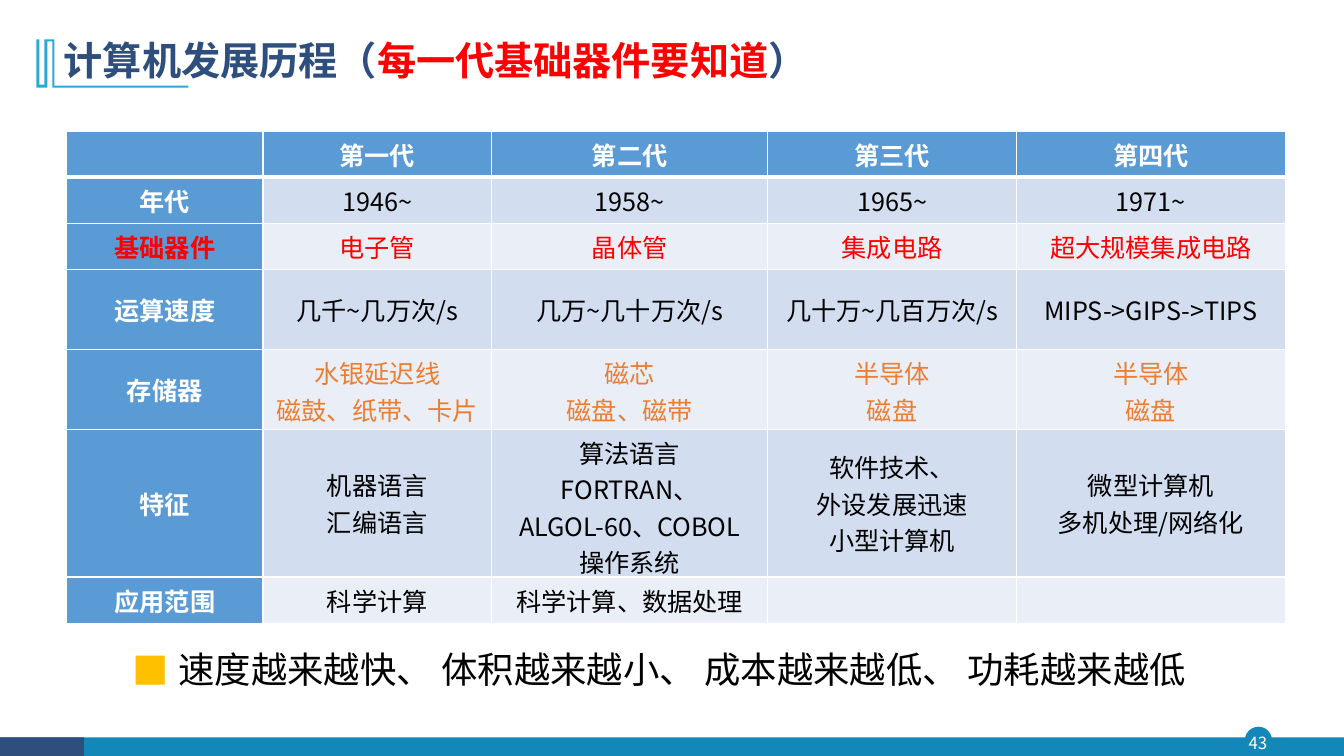
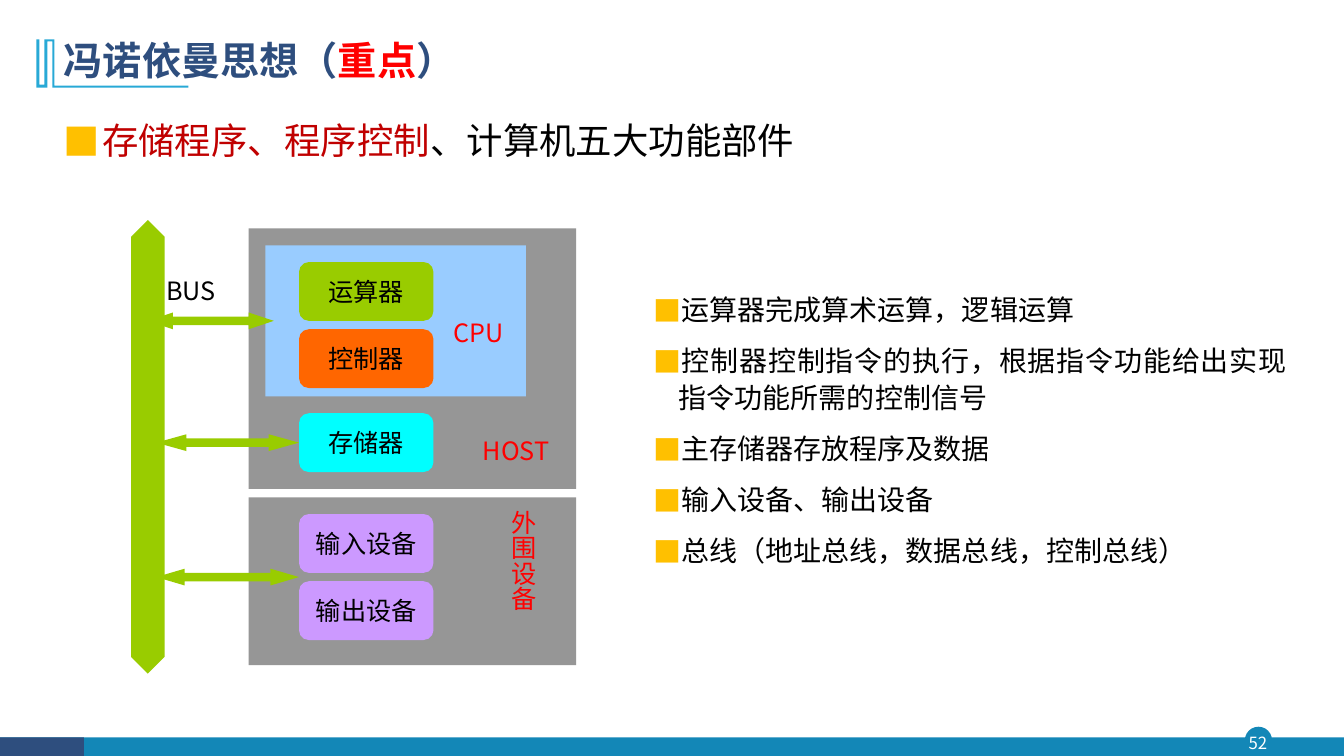
from lxml.etree import SubElement
from pptx import Presentation
from pptx.dml.color import RGBColor
from pptx.enum.shapes import MSO_SHAPE
from pptx.enum.text import MSO_ANCHOR, MSO_AUTO_SIZE, PP_ALIGN
from pptx.oxml.ns import qn
from pptx.util import Emu, Inches, Pt

# Colours and font
WHITE = RGBColor(0xFF, 0xFF, 0xFF)
BLACK = RGBColor(0x00, 0x00, 0x00)
NAVY = RGBColor(0x2E, 0x4E, 0x7E)
TEAL = RGBColor(0x13, 0x87, 0xB7)
SKY = RGBColor(0x28, 0xA9, 0xD6)
RED = RGBColor(0xFF, 0x00, 0x00)
WINE = RGBColor(0xC0, 0x00, 0x00)
GOLD = RGBColor(0xFF, 0xC0, 0x00)
BLUE = RGBColor(0x5B, 0x9B, 0xD5)
MIST = RGBColor(0xD2, 0xDE, 0xEF)
PALE = RGBColor(0xEA, 0xEF, 0xF7)
RUST = RGBColor(0xED, 0x7D, 0x31)
GREY = RGBColor(0x96, 0x96, 0x96)
AZURE = RGBColor(0x99, 0xCC, 0xFF)
GREEN = RGBColor(0x99, 0xCC, 0x00)
FLAME = RGBColor(0xFF, 0x66, 0x00)
CYAN = RGBColor(0x00, 0xFF, 0xFF)
LILAC = RGBColor(0xCC, 0x99, 0xFF)
FONT = "Noto Sans CJK SC"

# The slide is a grid of 80 columns by 45 rows
UNIT = Inches(1) // 6
COLS, ROWS = 80, 45

# Corner mark beside the title, in hundredths of a grid unit
MARK = [(324, 234), (324, 510), (1122, 510), (1122, 522), (312, 522),
        (312, 246), (282, 246), (282, 522), (216, 522), (216, 234),
        (234, 234), (234, 504), (264, 504), (264, 234)]


class Deck:
    def __init__(self):
        self.prs = Presentation()
        self.prs.slide_width = COLS * UNIT
        self.prs.slide_height = ROWS * UNIT
        self.slide = None
        self.start = (0, 0)

    def span(self, size):
        return Emu(round(size * UNIT))

    def area(self, x, y, wide, high):
        left, top = self.start
        return [self.span(v) for v in (left + x, top + y, wide, high)]

    def style(self, item, values):
        for name, value in values.items():
            setattr(item, name, value)

    def place(self, item, box):
        self.style(item, dict(zip(("left", "top", "width", "height"),
                                  self.area(*box))))

    def text(self, par, runs, size, bold=False, align=PP_ALIGN.CENTER,
             lines=1.0, before=0):
        self.style(par, {"alignment": align, "line_spacing": lines,
                         "space_before": Pt(before), "space_after": Pt(0)})
        for words, color in runs:
            run = par.add_run()
            run.text = words
            self.style(run.font, {"size": Pt(size), "bold": bold, "name": FONT})
            run.font.color.rgb = color
            SubElement(run.font._element, qn("a:ea"), typeface=FONT)

    def bullet(self, par, hang):
        props = par._p.get_or_add_pPr()
        props.set("marL", str(self.span(hang)))
        props.set("indent", str(-self.span(hang)))
        color = SubElement(props, qn("a:buClr"))
        SubElement(color, qn("a:srgbClr"), val=str(GOLD))
        SubElement(props, qn("a:buFont"), typeface=FONT)
        SubElement(props, qn("a:buChar"), char="■")

    def page(self, layout, title, number):
        self.start = (0, 0)
        self.slide = self.prs.slides.add_slide(self.prs.slide_layouts[layout])
        # Footer band with page number
        self.shape(MSO_SHAPE.OVAL, (74.1, 43.26, 1.62, 1.62), TEAL)
        self.shape(MSO_SHAPE.RECTANGLE, (0, 43.9, COLS, 1.1), TEAL)
        self.shape(MSO_SHAPE.RECTANGLE, (0, 43.9, 5, 1.1), NAVY)
        self.label((73.92, 43.26, 1.92, 1.86), number, WHITE, size=12,
                   inset=0, anchor=MSO_ANCHOR.MIDDLE)
        # Title with its corner mark
        pen = self.slide.shapes.build_freeform(*MARK[0], scale=UNIT / 100)
        pen.add_line_segments(MARK[1:], close=True)
        self.paint(pen.convert_to_shape(), SKY)
        head = self.slide.shapes.title
        self.place(head, (3.2, 1.7, 69, 4.1))
        self.style(head.text_frame, {"vertical_anchor": MSO_ANCHOR.MIDDLE,
                                     "auto_size": MSO_AUTO_SIZE.NONE})
        self.text(head.text_frame.paragraphs[0], title, 28, True,
                  PP_ALIGN.LEFT, 0.9)

    def paint(self, item, color):
        item.shadow.inherit = False
        item.fill.solid()
        item.fill.fore_color.rgb = color
        item.line.fill.background()

    def shape(self, kind, box, color, words=None, tune=()):
        item = self.slide.shapes.add_shape(kind, *self.area(*box))
        self.paint(item, color)
        for i, value in enumerate(tune):
            item.adjustments[i] = value
        if words:
            self.style(item.text_frame, {"word_wrap": False,
                                         "vertical_anchor": MSO_ANCHOR.MIDDLE})
            self.text(item.text_frame.paragraphs[0], [(words, BLACK)], 18)

    def label(self, box, words, color, size=18, align=PP_ALIGN.CENTER,
              inset=None, anchor=MSO_ANCHOR.TOP, upright=False):
        frame = self.slide.shapes.add_textbox(*self.area(*box)).text_frame
        self.style(frame, {"word_wrap": True, "vertical_anchor": anchor})
        if inset is not None:
            sides = ("left", "top", "right", "bottom")
            self.style(frame, {f"margin_{side}": inset for side in sides})
        if upright:
            frame._txBody.bodyPr.set("vert", "eaVert")
        self.text(frame.paragraphs[0], [(words, color)], size, align=align)

    def points(self, slot, box, items, size, hang, lines, first=None,
               align=PP_ALIGN.LEFT):
        body = self.slide.placeholders[slot]
        self.place(body, box)
        frame = body.text_frame
        self.style(frame, {"auto_size": MSO_AUTO_SIZE.NONE, "word_wrap": True,
                           "vertical_anchor": MSO_ANCHOR.TOP})
        for i, runs in enumerate(items):
            par = frame.add_paragraph() if i else frame.paragraphs[0]
            self.bullet(par, hang)
            gap = lines if i or not first else first
            self.text(par, runs, size, align=align, lines=gap,
                      before=10 if i else 0)

    def edge(self, cell, top, bottom):
        props = cell._tc.get_or_add_tcPr()
        for side, width in zip("LRTB", (1, 1, top, bottom)):
            line = SubElement(props, qn(f"a:ln{side}"), w=str(Pt(width)))
            fill = SubElement(line, qn("a:solidFill"))
            SubElement(fill, qn("a:srgbClr"), val=str(WHITE))

    def table(self, left, top, widths, heights, data, tints):
        box = self.area(left, top, sum(widths), sum(heights))
        grid = self.slide.shapes.add_table(len(data), len(widths), *box).table
        for col, wide in zip(grid.columns, widths):
            col.width = self.span(wide)
        for r, texts in enumerate(data):
            grid.rows[r].height = self.span(heights[r])
            for c, words in enumerate(texts):
                cell = grid.cell(r, c)
                head = r == 0 or c == 0
                self.edge(cell, 3 if r == 1 else 1, 3 if r == 0 else 1)
                cell.fill.solid()
                cell.fill.fore_color.rgb = (BLUE if head else
                                            MIST if r % 2 else PALE)
                cell.vertical_anchor = MSO_ANCHOR.MIDDLE
                color = tints.get((r, head), WHITE if head else BLACK)
                for i, line in enumerate(words.split("\n") if words else ()):
                    frame = cell.text_frame
                    par = frame.add_paragraph() if i else frame.paragraphs[0]
                    self.text(par, [(line, color)], 18, head)


def ages(deck):
    deck.page(1, [("计算机发展历程（", NAVY), ("每一代基础器件要知道", RED),
                  ("）", NAVY)], "43")
    data = [
        ["", "第一代", "第二代", "第三代", "第四代"],
        ["年代", "1946~", "1958~", "1965~", "1971~"],
        ["基础器件", "电子管", "晶体管", "集成电路", "超大规模集成电路"],
        ["运算速度", "几千~几万次/s", "几万~几十万次/s", "几十万~几百万次/s",
         "MIPS->GIPS->TIPS"],
        ["存储器", "水银延迟线\n磁鼓、纸带、卡片", "磁芯\n磁盘、磁带",
         "半导体\n磁盘", "半导体\n磁盘"],
        ["特征", "机器语言\n汇编语言",
         "算法语言\nFORTRAN、ALGOL-60、COBOL\n操作系统",
         "软件技术、\n外设发展迅速\n小型计算机", "微型计算机\n多机处理/网络化"],
        ["应用范围", "科学计算", "科学计算、数据处理", "", ""],
    ]
    tints = {(2, True): RED, (2, False): RED, (4, False): RUST}
    # The corner cell and the other heads of row 2 share one tint
    low, mid, tall = 2.75, 4.75, 8.8
    deck.table(3.96, 7.8, (11.7, 13.6, 16.45, 14.8, 16),
               (low, low, low, mid, mid, tall, low), data, tints)
    deck.points(1, (7.26, 37.68, 69, 4.1),
                [[("速度越来越快、 体积越来越小、 成本越来越低、 功耗越来越低", BLACK)]],
                26, 2.75, 1.2)


def model(deck):
    deck.page(3, [("冯诺依曼思想（", NAVY), ("重点", RED), ("）", NAVY)], "52")
    deck.points(1, (3.2, 6.2, 69, 37),
                [[("存储程序、程序控制", WINE), ("、计算机五大功能部件", BLACK)]],
                26, 2.28, 1.2)
    notes = ["运算器完成算术运算，逻辑运算",
             "控制器控制指令的执行，根据指令功能给出实现指令功能所需的控制信号",
             "主存储器存放程序及数据",
             "输入设备、输出设备",
             "总线（地址总线，数据总线，控制总线）"]
    deck.points(2, (38.3, 16.1, 38.9, 22.6), [[(note, BLACK)] for note in notes],
                20, 1.5, 1.1, first=1.5, align=PP_ALIGN.JUSTIFY)

    # Panels of the machine, measured from the top of the bus
    deck.start = (7.8, 13.1)
    for box, color in [((7, 16.5, 19.5, 10), GREY), ((7, 0.5, 19.5, 15.5), GREY),
                       ((8, 1.5, 15.5, 9), AZURE)]:
        deck.shape(MSO_SHAPE.RECTANGLE, box, color)
    deck.label((21.5, 16.7, 3.06, 9.4), "外围设备", RED, upright=True)
    deck.label((19.5, 12.5, 6, 2.4), "HOST", RED, align=PP_ALIGN.RIGHT)
    deck.label((18.5, 5.5, 4.25, 2.4), "CPU", RED, align=PP_ALIGN.RIGHT)

    # Five working parts
    for top, words, color in [(2.5, "运算器", GREEN), (6.5, "控制器", FLAME),
                              (11.5, "存储器", CYAN), (17.5, "输入设备", LILAC),
                              (21.5, "输出设备", LILAC)]:
        deck.shape(MSO_SHAPE.ROUNDED_RECTANGLE, (10, top, 8, 3.5), color, words,
                   (0.167,))

    # Bus and its branches
    deck.shape(MSO_SHAPE.UP_DOWN_ARROW, (0, 0, 2, 27), GREEN, tune=(0.375, 1.466))
    for left, top, wide, tip in [(1, 5.5, 7.5, 1.5), (1.5, 12.75, 8.5, 1.8),
                                 (1.5, 20.75, 8.5, 1.7)]:
        deck.shape(MSO_SHAPE.LEFT_RIGHT_ARROW, (left, top, wide, 1), GREEN,
                   tune=(0.5, tip))
    deck.label((1.5, 3, 5, 2.4), "BUS", BLACK, align=PP_ALIGN.LEFT)


def main():
    deck = Deck()
    ages(deck)
    model(deck)
    deck.prs.save("out.pptx")


if __name__ == "__main__":
    main()
